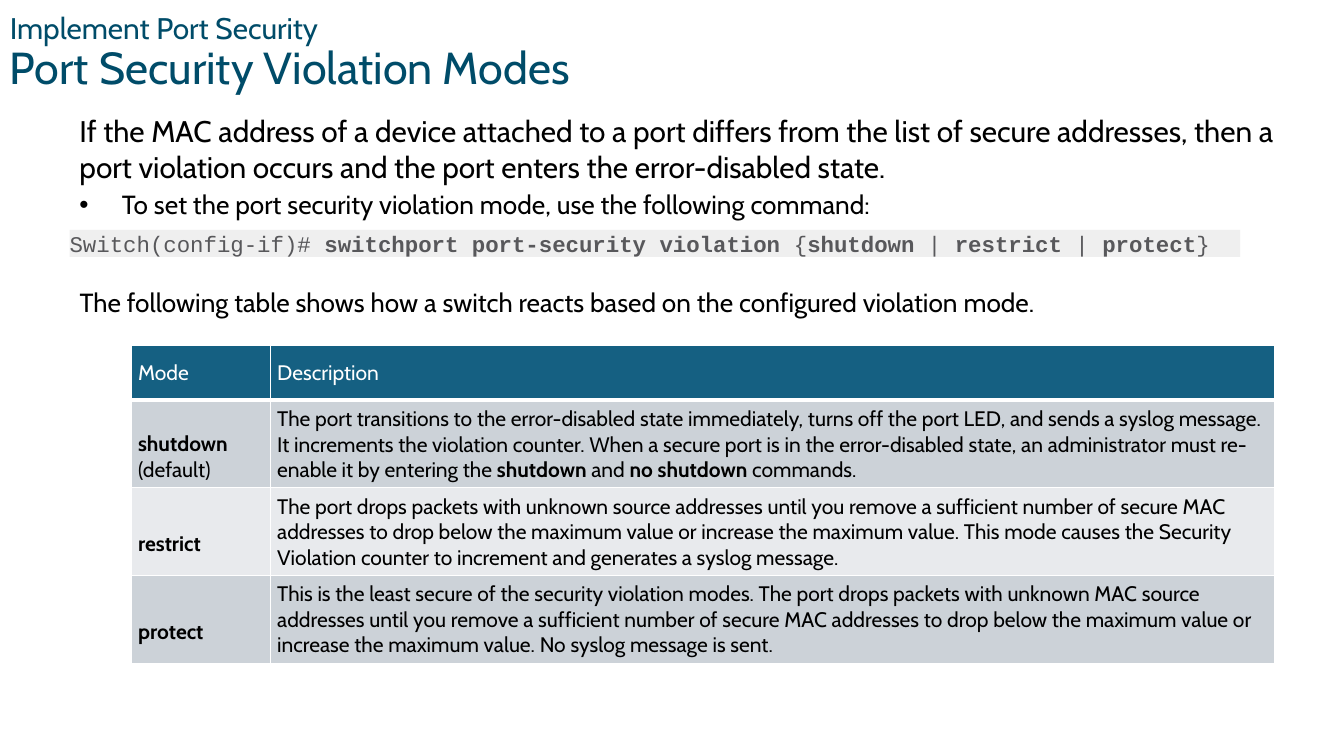
from lxml import etree
from pptx import Presentation
from pptx.dml.color import RGBColor
from pptx.enum.shapes import MSO_SHAPE
from pptx.enum.text import MSO_ANCHOR, PP_ALIGN
from pptx.oxml.ns import qn
from pptx.util import Inches, Pt

# Content: each paragraph is a list of (text, bold) runs
TITLE = [("Implement Port Security", 21.3), ("Port Security Violation Modes", 32)]
INTRO = ("If the MAC address of a device attached to a port differs from the list of "
         "secure addresses, then a port violation occurs and the port enters the "
         "error-disabled state.")
BULLET = "To set the port security violation mode, use the following command:"
COMMAND = [("Switch(config-if)# ", False),
           ("switchport port-security violation ", True), ("{", False),
           ("shutdown ", True), ("| ", False), ("restrict", True), (" | ", False),
           ("protect", True), ("}", False)]
TABLE_LEAD = ("The following table shows how a switch reacts based on the configured "
              "violation mode.")
HEADER = [[[("Mode", False)]], [[("Description", False)]]]
MODES = [
    [[[("shutdown", True)], [("(default)", False)]],
     [[("The port transitions to the error-disabled state immediately, turns off the "
        "port LED, and sends a syslog message. It increments the violation counter. "
        "When a secure port is in the error-disabled state, an administrator must "
        "re-enable it by entering the ", False), ("shutdown", True), (" and ", False),
       ("no shutdown", True), (" commands.", False)]]],
    [[[("restrict", True)]],
     [[("The port drops packets with unknown source addresses until you remove a "
        "sufficient number of secure MAC addresses to drop below the maximum value or "
        "increase the maximum value. This mode causes the Security Violation counter "
        "to increment and generates a syslog message.", False)]]],
    [[[("protect", True)]],
     [[("This is the least secure of the security violation modes. The port drops "
        "packets with unknown MAC source addresses until you remove a sufficient "
        "number of secure MAC addresses to drop below the maximum value or increase "
        "the maximum value. No syslog message is sent.", False)]]],
]
COL_WIDTHS = [1.38, 9.96]
ROW_HEIGHTS = [0.54, 0.87, 0.87, 0.87]

# Style
FONT, MONO = "Cabin", "Courier New"
BLACK = RGBColor(0x00, 0x00, 0x00)
WHITE = RGBColor(0xFF, 0xFF, 0xFF)
NAVY = RGBColor(0x00, 0x4C, 0x69)
GREY = RGBColor(0x58, 0x58, 0x5B)
CODE_FILL = RGBColor(0xEF, 0xEF, 0xEF)
HEADER_FILL = RGBColor(0x15, 0x60, 0x82)
BANDS = [RGBColor(0xCC, 0xD2, 0xD8), RGBColor(0xE8, 0xEA, 0xED)]


def add_run(p, text, size, color=BLACK, bold=False, font=FONT):
    r = p.add_run()
    r.text = text
    r.font.name, r.font.size, r.font.bold = font, Pt(size), bold
    r.font.color.rgb = color


def add_text_box(s, left, top, width, height):
    tf = s.shapes.add_textbox(*map(Inches, (left, top, width, height))).text_frame
    tf.word_wrap = True
    return tf


def set_bullet(p, indent):
    pPr = p._p.get_or_add_pPr()
    pPr.set("marL", str(Inches(indent)))
    pPr.set("indent", str(-Inches(indent)))
    etree.SubElement(pPr, qn("a:buFont")).set("typeface", "Arial")
    etree.SubElement(pPr, qn("a:buChar")).set("char", "•")


def set_borders(cell, bottom):
    tcPr = cell._tc.get_or_add_tcPr()
    widths = [("lnL", 1), ("lnR", 1), ("lnT", 1), ("lnB", bottom)]
    for i, (side, width) in enumerate(widths):
        ln = etree.Element(qn("a:" + side), w=str(Pt(width)))
        fill = etree.SubElement(ln, qn("a:solidFill"))
        etree.SubElement(fill, qn("a:srgbClr")).set("val", str(WHITE))
        tcPr.insert(i, ln)


def fill_cell(cell, paragraphs, fill, color, top=0.06, bottom=1):
    cell.fill.solid()
    cell.fill.fore_color.rgb = fill
    cell.vertical_anchor = MSO_ANCHOR.MIDDLE
    cell.margin_left = cell.margin_right = Inches(0.07)
    cell.margin_top, cell.margin_bottom = Inches(top), Inches(0.06)
    tf = cell.text_frame
    for i, runs in enumerate(paragraphs):
        p = tf.add_paragraph() if i else tf.paragraphs[0]
        for text, bold in runs:
            add_run(p, text, 15, color, bold)
    set_borders(cell, bottom)


prs = Presentation()
prs.slide_width, prs.slide_height = Inches(13.33), Inches(7.5)
s = prs.slides.add_slide(prs.slide_layouts[6])

# Title
tf = add_text_box(s, 0, 0, 12.17, 1.07)
tf.vertical_anchor = MSO_ANCHOR.MIDDLE
p = tf.paragraphs[0]
p.line_spacing = 0.9
for i, (text, size) in enumerate(TITLE):
    if i:
        p.add_line_break()
    add_run(p, text, size, NAVY)

# Introduction
tf = add_text_box(s, 0.69, 1.07, 12.07, 1.22)
add_run(tf.paragraphs[0], INTRO, 21.3)
p = tf.add_paragraph()
p.space_before = Pt(3)
set_bullet(p, 0.42)
add_run(p, BULLET, 18.7)

# Command line
sp = s.shapes.add_shape(MSO_SHAPE.RECTANGLE, Inches(0.69), Inches(2.28),
                        Inches(11.61), Inches(0.27))
sp.shadow.inherit = False
sp.fill.solid()
sp.fill.fore_color.rgb = CODE_FILL
sp.line.fill.background()
tf = sp.text_frame
tf.word_wrap = True
tf.vertical_anchor = MSO_ANCHOR.MIDDLE
tf.margin_left = tf.margin_right = tf.margin_top = tf.margin_bottom = 0
p = tf.paragraphs[0]
p.alignment = PP_ALIGN.LEFT
for text, bold in COMMAND:
    add_run(p, text, 16, GREY, bold, MONO)

# Table lead-in
tf = add_text_box(s, 0.69, 2.79, 12.28, 0.42)
add_run(tf.paragraphs[0], TABLE_LEAD, 18.7)

# Violation mode table
table = s.shapes.add_table(len(ROW_HEIGHTS), len(COL_WIDTHS), Inches(1.3), Inches(3.43),
                           Inches(sum(COL_WIDTHS)), Inches(sum(ROW_HEIGHTS))).table
for column, width in zip(table.columns, COL_WIDTHS):
    column.width = Inches(width)
for row, height in zip(table.rows, ROW_HEIGHTS):
    row.height = Inches(height)
for c, paragraphs in enumerate(HEADER):
    fill_cell(table.cell(0, c), paragraphs, HEADER_FILL, WHITE, bottom=3)
for r, (mode, description) in enumerate(MODES, 1):
    band = BANDS[(r - 1) % 2]
    fill_cell(table.cell(r, 0), mode, band, BLACK, top=0.31)
    fill_cell(table.cell(r, 1), description, band, BLACK)

prs.save("out.pptx")
